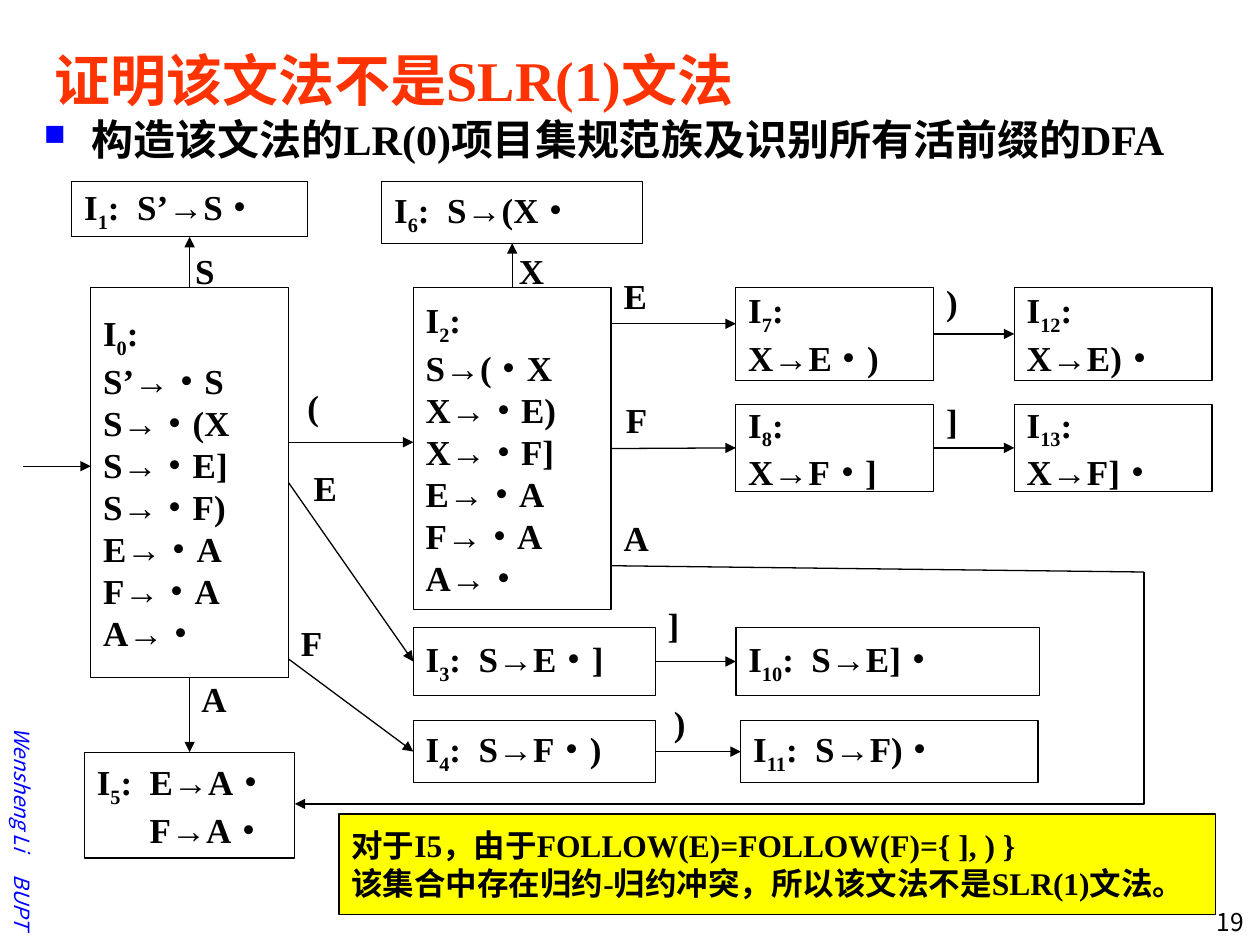
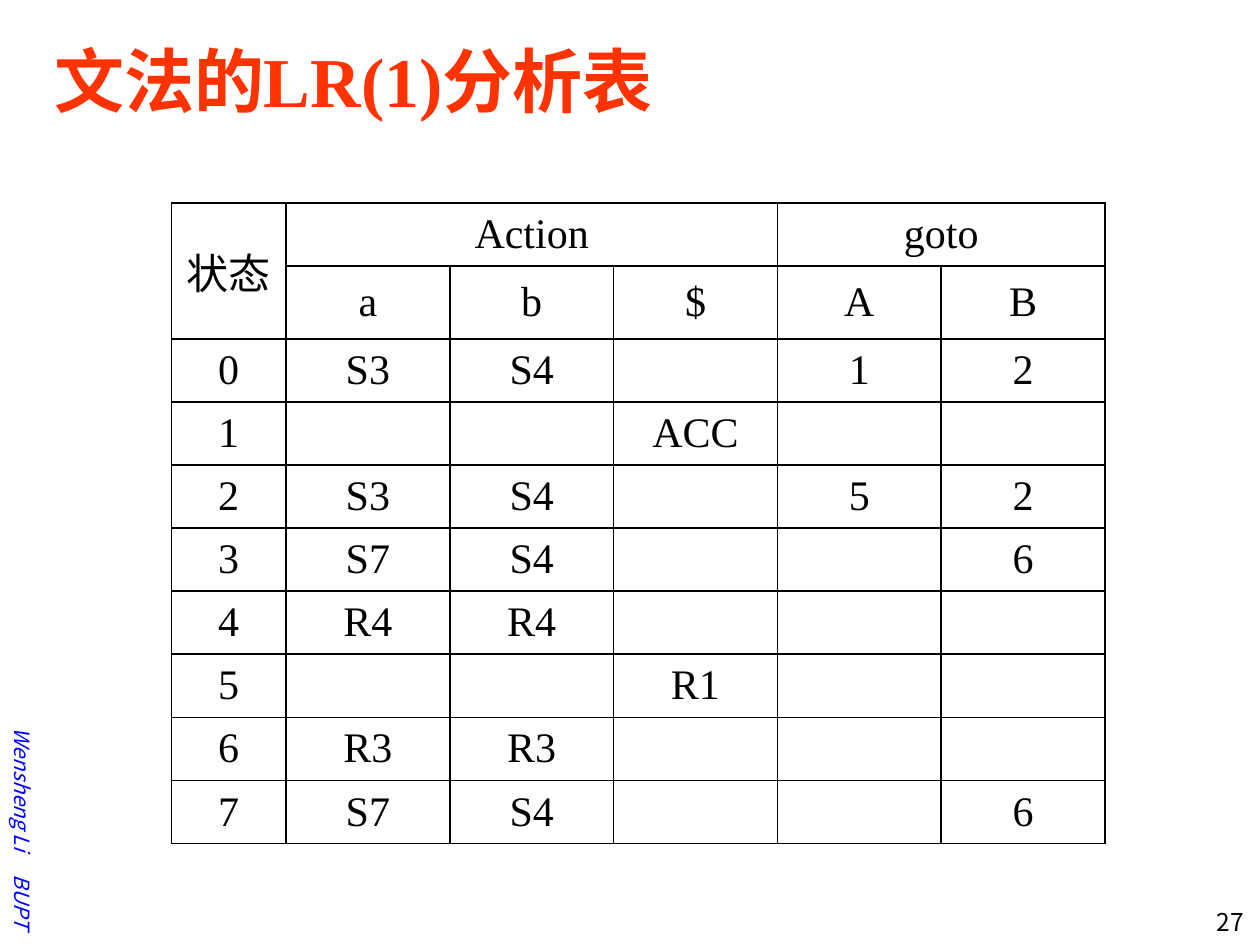
import itertools

import pptx
import pptx.dml.color
import pptx.enum.shapes
import pptx.enum.text
import pptx.oxml
import pptx.oxml.ns
import pptx.util
from pptx.util import Inches

SERIF, SANS = "Times New Roman", "Noto Sans CJK SC"
BLACK, WHITE, RED, BLUE, YELLOW = "000000", "FFFFFF", "FF3300", "0000FF", "FFFF00"
TOP, LEFT, BOTTOM, RIGHT = range(4)
ALIGN = pptx.enum.text.PP_ALIGN
ANCHOR = pptx.enum.text.MSO_ANCHOR
KIND = pptx.enum.shapes.MSO_CONNECTOR
qn = pptx.oxml.ns.qn

# name: (left, top, width, height, lines); text between underscores is subscript
STATES = {
    "I0": (0.72, 1.28, 1.57, 3.1, ["I_0_:", "S’→·S", "S→·(X", "S→·E]", "S→·F)",
                                   "E→·A", "F→·A", "A→·"]),
    "I1": (0.57, 0.44, 1.87, 0.44, ["I_1_:  S’→S·"]),
    "I2": (3.28, 1.28, 1.57, 2.56, ["I_2_:", "S→(·X", "X→·E)", "X→·F]",
                                    "E→·A", "F→·A", "A→·"]),
    "I3": (3.28, 3.98, 1.92, 0.54, ["I_3_:  S→E·]"]),
    "I4": (3.28, 4.72, 1.92, 0.49, ["I_4_:  S→F·)"]),
    "I5": (0.67, 4.97, 1.67, 0.84, ["I_5_:  E→A·", "F→A·"]),
    "I6": (3.03, 0.44, 2.07, 0.49, ["I_6_:  S→(X·"]),
    "I7": (5.84, 1.28, 1.57, 0.74, ["I_7_:", "X→E·)"]),
    "I8": (5.84, 2.21, 1.57, 0.69, ["I_8_:", "X→F·]"]),
    "I10": (5.84, 3.98, 2.41, 0.54, ["I_10_:  S→E]·"]),
    "I11": (5.88, 4.72, 2.36, 0.49, ["I_11_:  S→F)·"]),
    "I12": (8.05, 1.28, 1.57, 0.74, ["I_12_:", "X→E)·"]),
    "I13": (8.05, 2.21, 1.57, 0.69, ["I_13_:", "X→F]·"]),
}
# each end is a state and its side, or a point
MOVES = [
    (("I0", TOP), ("I1", BOTTOM)),
    (("I0", BOTTOM), ("I5", TOP)),
    ((2.29, 2.51), (3.28, 2.51)),
    (("I0", RIGHT), ("I3", LEFT)),
    ((2.29, 4.23), ("I4", LEFT)),
    (("I2", TOP), ("I6", BOTTOM)),
    ((4.85, 1.57), (5.84, 1.57)),
    (("I2", RIGHT), ("I8", LEFT)),
    (("I3", RIGHT), ("I10", LEFT)),
    (("I4", RIGHT), ("I11", LEFT)),
    (("I7", RIGHT), ("I12", LEFT)),
    (("I8", RIGHT), ("I13", LEFT)),
    ((0.18, 2.7), (0.72, 2.7)),
]
LABELS = [
    ("S", 1.45, 0.93), ("(", 2.34, 2.01), ("E", 2.39, 2.65), ("F", 2.29, 3.88),
    ("A", 1.5, 4.33), ("X", 4.02, 0.93), ("E", 4.85, 1.13), ("F", 4.87, 2.11),
    ("A", 4.85, 3.05), ("]", 5.2, 3.74), (")", 5.25, 4.52), (")", 7.41, 1.18),
    ("]", 7.41, 2.12),
]
WIDTHS = {"S": 0.36, "E": 0.39, "F": 0.37, "A": 0.41, "X": 0.41}
HEADS = [["状态", "Action", "", "", "goto", ""], ["", "a", "b", "$", "A", "B"]]
RULES = [
    ["0", "S3", "S4", "", "1", "2"],
    ["1", "", "", "ACC", "", ""],
    ["2", "S3", "S4", "", "5", "2"],
    ["3", "S7", "S4", "", "", "6"],
    ["4", "R4", "R4", "", "", ""],
    ["5", "", "", "R1", "", ""],
    ["6", "R3", "R3", "", "", ""],
    ["7", "S7", "S4", "", "", "6"],
]


def color(code):
    return pptx.dml.color.RGBColor.from_string(code)


def add_run(para, text, size, font, hue, bold, italic):
    run = para.add_run()
    run.text = text
    run.font.size = pptx.util.Pt(size)
    run.font.name = font
    run.font.bold, run.font.italic = bold, italic
    run.font.color.rgb = color(hue)
    east = pptx.oxml.parse_xml(f'<a:ea {pptx.oxml.ns.nsdecls("a")} typeface="{SANS}"/>')
    run.font._element.find(qn("a:latin")).addnext(east)
    return run


def write(frame, lines, size=20, font=SERIF, hue=BLACK, bold=True, italic=False,
          align=ALIGN.LEFT, anchor=ANCHOR.TOP, wrap=False):
    """Fill a frame; underscores enclose subscripts and dots take the sans font."""
    frame.word_wrap = wrap
    frame.vertical_anchor = anchor
    for row, line in enumerate(lines):
        para = frame.add_paragraph() if row else frame.paragraphs[0]
        para.alignment = align
        for part, piece in enumerate(line.split("_")):
            for dot, chars in itertools.groupby(piece, lambda char: char == "·"):
                run = add_run(para, "".join(chars), size, SANS if dot else font,
                              hue, bold, italic)
                if part % 2:
                    run.font._element.set("baseline", "-25000")


def add_text(slide, box, lines, **style):
    shape = slide.shapes.add_textbox(*map(Inches, box))
    write(shape.text_frame, lines, **style)
    return shape


def add_box(slide, box, lines, fill=WHITE, **style):
    shape = slide.shapes.add_shape(pptx.enum.shapes.MSO_SHAPE.RECTANGLE, *map(Inches, box))
    shape.shadow.inherit = False
    shape.fill.solid()
    shape.fill.fore_color.rgb = color(fill)
    shape.line.color.rgb = color(BLACK)
    shape.line.width = pptx.util.Pt(0.75)
    write(shape.text_frame, lines, anchor=ANCHOR.MIDDLE, **style)
    return shape


def add_line(slide, start, end, kind=KIND.STRAIGHT, arrow=True):
    line = slide.shapes.add_connector(kind, *map(Inches, (*start, *end)))
    line.line.color.rgb = color(BLACK)
    line.line.width = pptx.util.Pt(0.75)
    props = line._element.spPr
    if arrow:
        pptx.oxml.ns.qn("a:tailEnd")
        props.find(qn("a:ln")).append(pptx.oxml.parse_xml(
            f'<a:tailEnd {pptx.oxml.ns.nsdecls("a")} type="triangle"/>'))
    props.append(pptx.oxml.parse_xml(f'<a:effectLst {pptx.oxml.ns.nsdecls("a")}/>'))
    return line


def add_corner(slide, start, end):
    """Draw an arrow that runs down from start, then left to end."""
    wide, high = start[0] - end[0], end[1] - start[1]
    midx, midy = (start[0] + end[0]) / 2, (start[1] + end[1]) / 2
    line = add_line(slide, (midx - high / 2, midy - wide / 2),
                    (midx + high / 2, midy + wide / 2), KIND.ELBOW)
    line._element.spPr.find(qn("a:prstGeom")).set("prst", "bentConnector2")
    line._element.spPr.find(qn("a:xfrm")).set("rot", "5400000")


def add_credit(slide, box):
    shape = add_text(slide, box, ["Wensheng Li"], size=12, font=SANS, hue=BLUE, bold=False,
                     italic=True, align=ALIGN.RIGHT, anchor=ANCHOR.MIDDLE, wrap=True)
    shape.rotation = 90
    para = shape.text_frame.paragraphs[0]
    for text, gap in ((" ", "1070"), ("BUPT", "0")):
        run = add_run(para, text, 12, SANS, BLUE, False, True)
        run.font._element.set("spc", gap)


def add_slide(deck, title, size, number):
    slide = deck.slides.add_slide(deck.slide_layouts[5])
    head = slide.shapes.title
    head.left, head.top, head.width, head.height = map(Inches, (0.33, 0.17, 9.42, 0.92))
    write(head.text_frame, [title], size=size, hue=RED, anchor=ANCHOR.MIDDLE, wrap=True)
    add_credit(slide, (-1.14, 6, 2.64, 0.3))
    add_text(slide, (9.18, 7.15, 0.79, 0.3), [number], size=14, font=SANS, bold=False,
             align=ALIGN.RIGHT, wrap=True)
    return slide


def add_point(slide, box, text):
    shape = add_text(slide, box, [text], size=24, wrap=True)
    props = shape.text_frame.paragraphs[0]._p.get_or_add_pPr()
    props.set("marL", str(Inches(0.38)))
    props.set("indent", str(Inches(-0.38)))
    space = pptx.oxml.ns.nsdecls("a")
    for mark in (f'<a:buClr {space}><a:srgbClr val="{BLUE}"/></a:buClr>',
                 f'<a:buSzPct {space} val="70000"/>',
                 f'<a:buChar {space} char="■"/>'):
        props.append(pptx.oxml.parse_xml(mark))


def add_graph(slide, left, top):
    """Draw the DFA with its states, moves and labels."""
    def place(x, y):
        return left + x, top + y

    boxes = {name: add_box(slide, (*place(x, y), wide, high), lines)
             for name, (x, y, wide, high, lines) in STATES.items()}
    last = boxes["I5"].text_frame.paragraphs[1]
    last._p.get_or_add_pPr().set("marL", str(Inches(0.42)))

    for ends in MOVES:
        joins = [isinstance(end[0], str) for end in ends]
        spots = [(left, top) if join else place(*end) for join, end in zip(joins, ends)]
        line = add_line(slide, *spots)
        for join, end, tie in zip(joins, ends, (line.begin_connect, line.end_connect)):
            if join:
                tie(boxes[end[0]], end[1])

    bend = place(9.08, 3.54)
    add_line(slide, place(4.85, 3.49), bend, arrow=False)
    add_corner(slide, bend, place(2.34, 5.38))
    for text, x, y in LABELS:
        add_text(slide, (*place(x, y), WIDTHS.get(text, 0.29), 0.44), [text])


def edge_cell(cell):
    props = cell._tc.get_or_add_tcPr()
    for spot, side in enumerate(("lnL", "lnR", "lnT", "lnB")):
        props.insert(spot, pptx.oxml.parse_xml(
            f'<a:{side} {pptx.oxml.ns.nsdecls("a")} w="12700"><a:solidFill>'
            f'<a:srgbClr val="{BLACK}"/></a:solidFill></a:{side}>'))


def add_grid(slide, left, top):
    rows = HEADS + RULES
    widths = [0.91] + [1.3] * 5
    heights = [0.47, 0.58] + [0.47] * len(RULES)
    box = map(Inches, (left, top, sum(widths), sum(heights)))
    table = slide.shapes.add_table(len(rows), len(widths), *box).table
    table.first_row = table.horz_banding = False
    for col, wide in zip(table.columns, widths):
        col.width = Inches(wide)
    for row, high in zip(table.rows, heights):
        row.height = Inches(high)
    for r, texts in enumerate(rows):
        for c, text in enumerate(texts):
            cell = table.cell(r, c)
            cell.fill.solid()
            cell.fill.fore_color.rgb = color(WHITE)
            cell.vertical_anchor = ANCHOR.MIDDLE
            edge_cell(cell)
            write(cell.text_frame, [text], size=24, bold=False, align=ALIGN.CENTER,
                  anchor=ANCHOR.MIDDLE, wrap=True)
    for first, end in (((0, 0), (1, 0)), ((0, 1), (0, 3)), ((0, 4), (0, 5))):
        table.cell(*first).merge(table.cell(*end))


def main():
    deck = pptx.Presentation()
    deck.slide_width, deck.slide_height = Inches(10), Inches(7.5)

    proof = add_slide(deck, "证明该文法不是SLR(1)文法", 32, "19")
    add_point(proof, (0.25, 0.85, 9.5, 0.55), "构造该文法的LR(0)项目集规范族及识别所有活前缀的DFA")
    add_graph(proof, 0, 1)
    add_box(proof, (2.69, 6.46, 6.96, 0.8),
            ["对于I5，由于FOLLOW(E)=FOLLOW(F)={ ], ) }",
             "该集合中存在归约-归约冲突，所以该文法不是SLR(1)文法。"], fill=YELLOW, size=18)

    parse = add_slide(deck, "文法的LR(1)分析表", 40, "27")
    add_grid(parse, 1.36, 1.61)
    deck.save("out.pptx")


if __name__ == "__main__":
    main()
